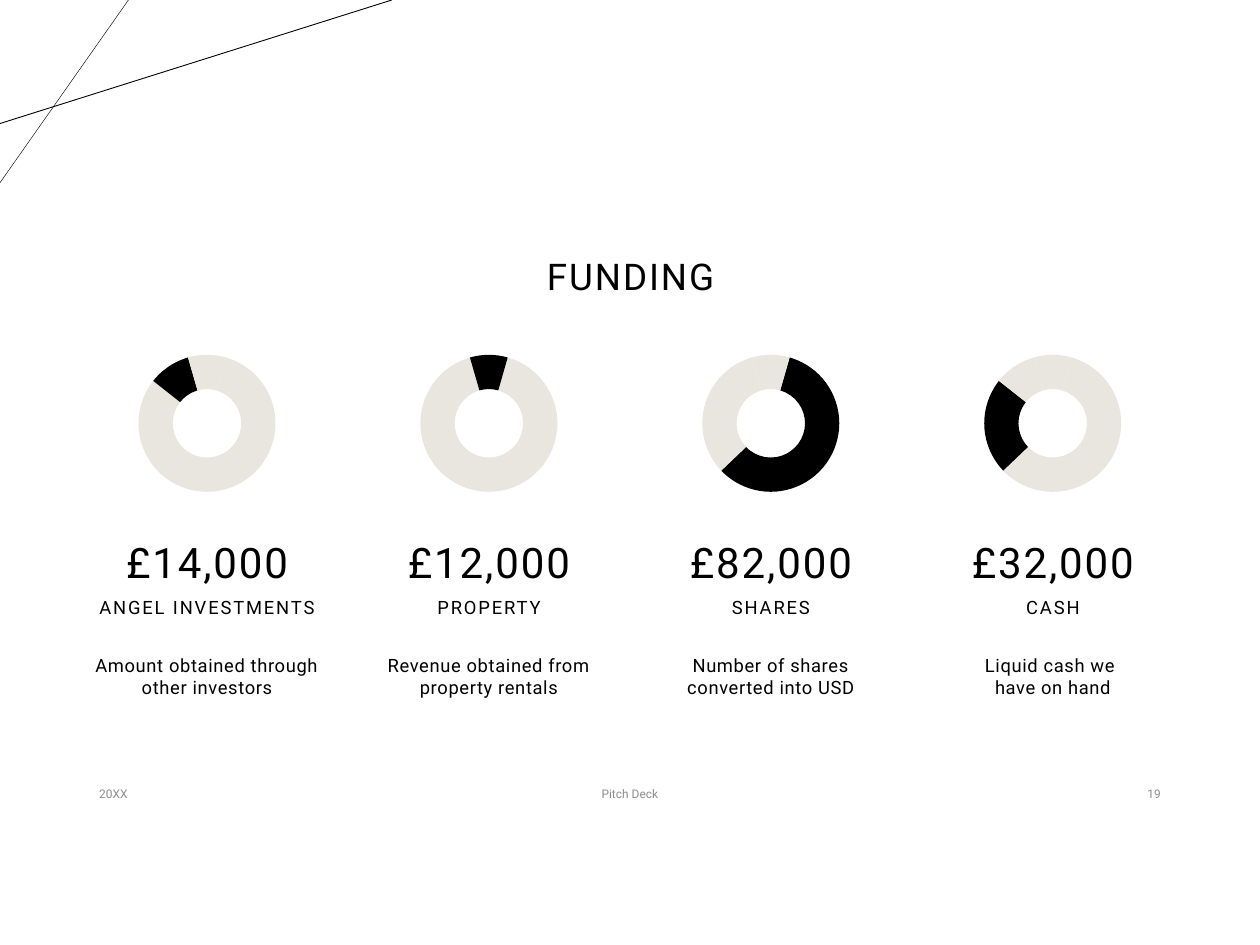
from lxml.etree import SubElement
from pptx import Presentation
from pptx.chart.data import CategoryChartData as ChartData
from pptx.dml.color import RGBColor
from pptx.enum.chart import XL_CHART_TYPE as CT
from pptx.enum.shapes import MSO_CONNECTOR as CONN
from pptx.enum.text import MSO_ANCHOR as VA, PP_ALIGN as AL
from pptx.oxml import parse_xml
from pptx.oxml.ns import nsdecls, qn
from pptx.util import Pt


def rgb(hex_color):
    return RGBColor.from_string(hex_color)


def add_text(text, x, y, w, h, size, align=AL.CENTER, anchor=VA.MIDDLE,
             color="000000", spc=0, inset=7.2, line=1, before=0):
    tf = s.shapes.add_textbox(Pt(x), Pt(y), Pt(w), Pt(h)).text_frame
    tf.word_wrap = True
    tf.vertical_anchor = anchor
    tf.margin_left = tf.margin_right = Pt(inset)
    tf.margin_top = tf.margin_bottom = Pt(3.6)
    p = tf.paragraphs[0]
    p.text = text
    p.alignment = align
    p.line_spacing = line
    p.space_before = Pt(before)
    for r in p.runs:
        r.font.size = Pt(size)
        r.font.name = "Roboto"
        r.font.color.rgb = rgb(color)
        r.font._element.set("spc", str(round(spc * 100)))


prs = Presentation()
prs.slide_width, prs.slide_height = Pt(720), Pt(540)
s = prs.slides.add_slide(prs.slide_layouts[6])

for x, y, width in [(73.4, 104.4, 0.25), (223.9, 70.6, 0.5)]:
    c = s.shapes.add_connector(CONN.STRAIGHT, Pt(x), Pt(0), Pt(0), Pt(y))
    c.line.color.rgb = rgb("000000")
    c.line.width = Pt(width)
    SubElement(c._element.spPr, qn("a:effectLst"))

add_text("FUNDING", 111.6, 120.2, 497.5, 78.5, 21, spc=1.1, line=0.9)

sources = [
    ("£14,000", "ANGEL INVESTMENTS", "Amount obtained through other investors", 2),
    ("£12,000", "PROPERTY", "Revenue obtained from property rentals", 3),
    ("£82,000", "SHARES", "Number of shares converted into USD", 0),
    ("£32,000", "CASH", "Liquid cash we \vhave on hand", 1),
]
data = ChartData()
data.categories = ["1", "2", "3", "4"]
data.add_series("Series 1", (59, 23, 10, 9))

for i, (amount, label, detail, active) in enumerate(sources):
    x = 49.6 + 161.1 * i
    gf = s.shapes.add_chart(CT.DOUGHNUT, Pt(x + 14), Pt(193), Pt(109.4), Pt(97.9), data)
    chart = gf.chart
    chart.has_title = chart.has_legend = False
    chart.font.size = Pt(10)
    chart.font.name = "Roboto"
    chart.font.color.rgb = rgb("000000")
    plot = chart.plots[0]
    plot.has_data_labels = False
    plot.vary_by_categories = True
    for n in range(4):
        pt = plot.series[0].points[n]
        pt.format.fill.solid()
        pt.format.fill.fore_color.rgb = rgb("000000" if n == active else "E9E6DF")
        pt.format.line.fill.background()
    plot._element.find(qn("c:firstSliceAng")).set("val", "16")
    plot._element.find(qn("c:holeSize")).set("val", "80")
    area = plot._element.getparent()
    for old in area.findall(qn("c:layout")):
        area.remove(old)
    area.insert(0, parse_xml(
        f'<c:layout {nsdecls("c")}><c:manualLayout><c:layoutTarget val="inner"/>'
        '<c:xMode val="edge"/><c:yMode val="edge"/><c:x val="0.14"/><c:y val="0.1"/>'
        '<c:w val="0.72"/><c:h val="0.8"/></c:manualLayout></c:layout>'))

    for text, y, h, size, anchor, spc, line in [
        (amount, 291.6, 47.5, 24, VA.BOTTOM, 1.1, 0.9),
        (label, 331.2, 25.9, 10.5, VA.BOTTOM, 1.1, 0.9),
        (detail, 370.1, 50.4, 10.5, VA.TOP, 0.4, 1),
    ]:
        add_text(text, x, y, 137.5, h, size, anchor=anchor, spc=spc,
                 inset=0, line=line, before=7.5)

for text, x, w, align in [
    ("20XX", 49.6, 162, AL.LEFT),
    ("Pitch Deck", 238.4, 243.2, AL.CENTER),
    ("19", 508.4, 162, AL.RIGHT),
]:
    add_text(text, x, 442.8, w, 21.6, 6.8, align=align, color="8C8C8C")

prs.save("out.pptx")
